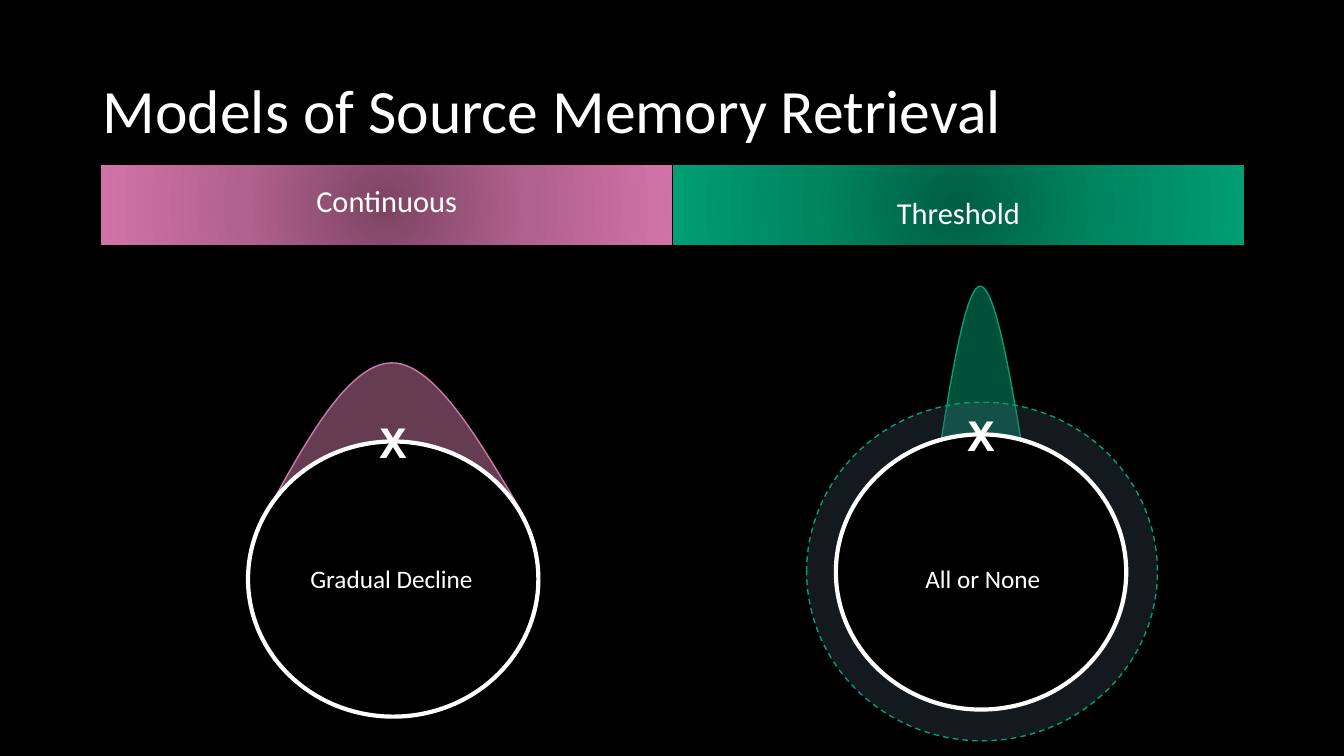
import pptx
import pptx.dml.color
import pptx.enum.dml
import pptx.enum.shapes
import pptx.enum.text
import pptx.oxml
import pptx.oxml.ns
import pptx.util
from lxml import etree

Inches = pptx.util.Inches
Pt = pptx.util.Pt
RGB = pptx.dml.color.RGBColor.from_string
Align = pptx.enum.text.PP_ALIGN
Anchor = pptx.enum.text.MSO_ANCHOR
Fit = pptx.enum.text.MSO_AUTO_SIZE
OVAL = pptx.enum.shapes.MSO_SHAPE.OVAL

theme = {
    "back": "000000", "ink": "FFFFFF", "ring": "44546A",
    "font": "Calibri", "mono": "Courier New",
    "title": 44, "head": 21.7, "mark": 32, "label": 18,
}


def paint(shape, fill, line, width, alpha=100):
    shape.shadow.inherit = False
    shape.fill.solid()
    shape.fill.fore_color.rgb = RGB(fill)
    if alpha < 100:
        color = shape.fill._xPr.find(".//" + pptx.oxml.ns.qn("a:srgbClr"))
        etree.SubElement(color, pptx.oxml.ns.qn("a:alpha"), val=str(alpha * 1000))
    shape.line.color.rgb = RGB(line)
    shape.line.width = Pt(width)


def write(shape, text, size, align, font=theme["font"], bold=False):
    shape.text_frame.text = text
    par = shape.text_frame.paragraphs[0]
    par.alignment = align
    par.font.name = font
    par.font.size = Pt(size)
    par.font.bold = bold
    par.font.color.rgb = RGB(theme["ink"])
    return par


deck = pptx.Presentation()
deck.slide_width, deck.slide_height = Inches(13.33), Inches(7.5)
slide = deck.slides.add_slide(deck.slide_layouts[4])
slide.background.fill.solid()
slide.background.fill.fore_color.rgb = RGB(theme["back"])
shapes = slide.shapes
holders = {h.placeholder_format.idx: h for h in slide.placeholders}
for idx, holder in holders.items():
    if idx not in (0, 1, 3):
        holder.element.getparent().remove(holder.element)

title = holders[0]
title.left, title.top, title.width, title.height = map(Inches, (0.92, 0.4, 11.5, 1.45))
title.text_frame.vertical_anchor = Anchor.MIDDLE
title.text_frame.auto_size = Fit.NONE
par = write(title, "Models of Source Memory Retrieval", theme["title"], Align.LEFT)
par.line_spacing = 0.9

models = [
    {"idx": 1, "head": "Continuous", "left": 1, "inset": 0.05,
     "stops": ("7D4463", "B1618D", "D273A8"), "color": "CC79A7",
     "curve": [(2.61, 5.15), (3.03, 4.38), (3.45, 3.61), (3.88, 3.6),
               (4.3, 3.59), (4.74, 4.34), (5.18, 5.09)],
     "ring": None, "disc": (2.46, 4.38), "mark": (3.25, 4.06),
     "label": "Gradual Decline", "spot": (2.98, 1.83)},
    {"idx": 3, "head": "Threshold", "left": 6.67, "inset": 0.29,
     "stops": ("005E44", "008561", "009E73"), "color": "009E73",
     "curve": [(9.27, 4.78), (9.42, 3.82), (9.57, 2.85), (9.72, 2.84),
               (9.87, 2.83), (10.03, 3.76), (10.18, 4.7)],
     "ring": (8, 3.99, 3.48, 3.36), "disc": (8.29, 4.31), "mark": (9.08, 3.99),
     "label": "All or None", "spot": (9.08, 1.36)},
]

for model in models:
    head = holders[model["idx"]]
    head.left, head.top, head.width, head.height = map(
        Inches, (model["left"], 1.64, 5.67, 0.79))
    stops = "".join(
        f'<a:gs pos="{i * 50000}"><a:srgbClr val="{c}"/></a:gs>'
        for i, c in enumerate(model["stops"]))
    head.element.spPr.append(pptx.oxml.parse_xml(
        f'<a:gradFill {pptx.oxml.ns.nsdecls("a")}><a:gsLst>{stops}</a:gsLst>'
        '<a:path path="circle"><a:fillToRect l="50000" t="50000" r="50000" b="50000"/>'
        '</a:path></a:gradFill>'))
    frame = head.text_frame
    frame.vertical_anchor = Anchor.MIDDLE
    frame.auto_size = Fit.NONE
    frame.margin_top = Inches(model["inset"])
    par = write(head, model["head"], theme["head"], Align.CENTER)
    par.line_spacing = 0.7
    par.space_before = Pt(10)

    curve = model["curve"]
    dots = []
    for start in (0, 3):
        a, b, c, d = curve[start:start + 4]
        for step in range(1, 25):
            t = step / 24
            u = 1 - t
            dots.append(tuple(
                Inches(u**3 * a[k] + 3 * u * u * t * b[k] + 3 * u * t * t * c[k] + t**3 * d[k])
                for k in (0, 1)))
    pen = shapes.build_freeform(Inches(curve[0][0]), Inches(curve[0][1]))
    pen.add_line_segments(dots, close=False)
    paint(pen.convert_to_shape(), model["color"], model["color"], 1, 50)

    if model["ring"]:
        ring = shapes.add_shape(OVAL, *map(Inches, model["ring"]))
        paint(ring, theme["ring"], model["color"], 1, 30)
        ring.line.dash_style = pptx.enum.dml.MSO_LINE.DASH

    disc = shapes.add_shape(OVAL, *map(Inches, (*model["disc"], 2.88, 2.73)))
    paint(disc, theme["back"], theme["ink"], 3)

    mark = shapes.add_textbox(*map(Inches, (*model["mark"], 1.3, 0.64)))
    mark.text_frame.word_wrap = True
    write(mark, "X", theme["mark"], Align.CENTER, theme["mono"], True)

    left, width = model["spot"]
    label = shapes.add_textbox(*map(Inches, (left, 5.54, width, 0.4)))
    label.text_frame.word_wrap = False
    write(label, model["label"], theme["label"], Align.LEFT)

deck.save("out.pptx")
